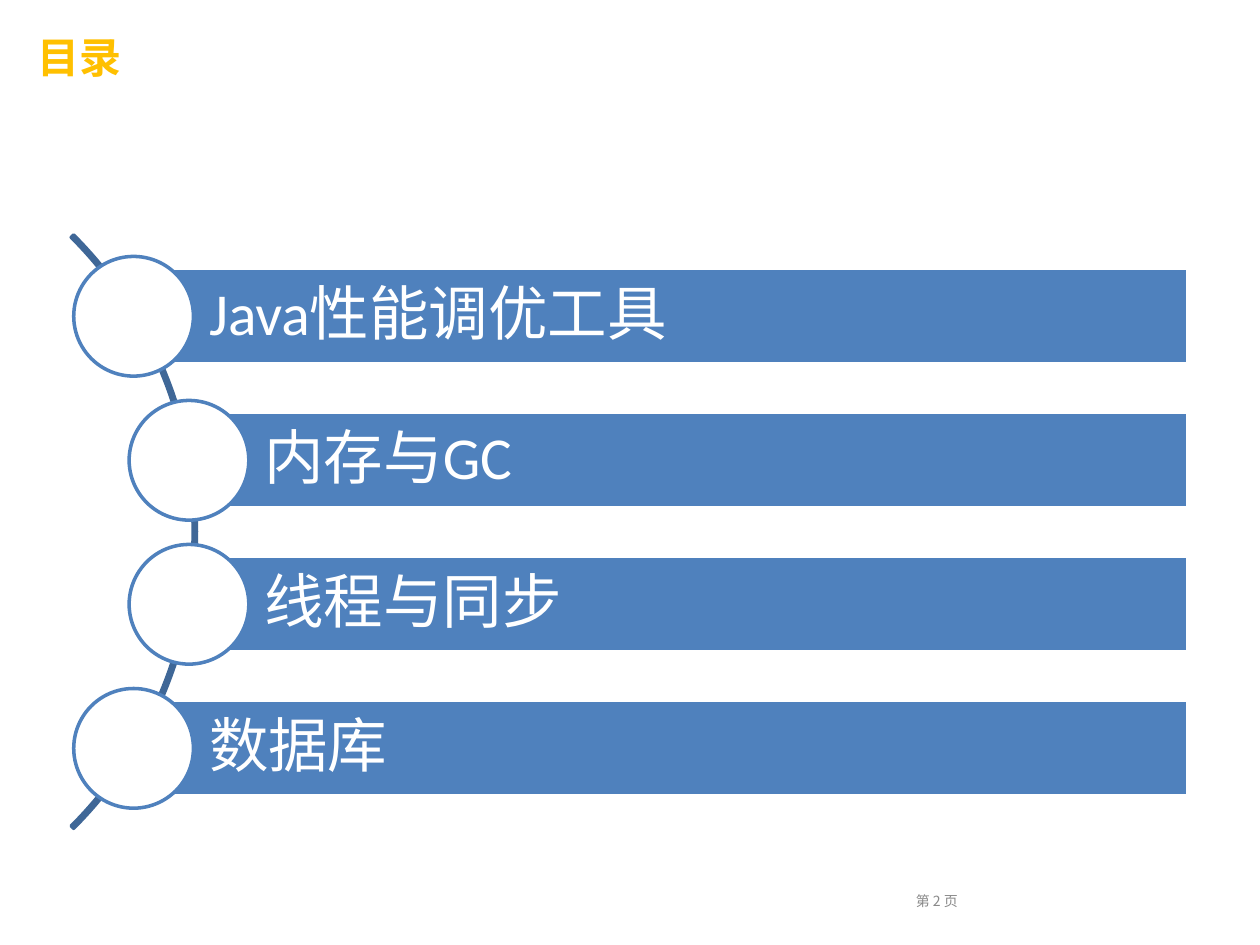
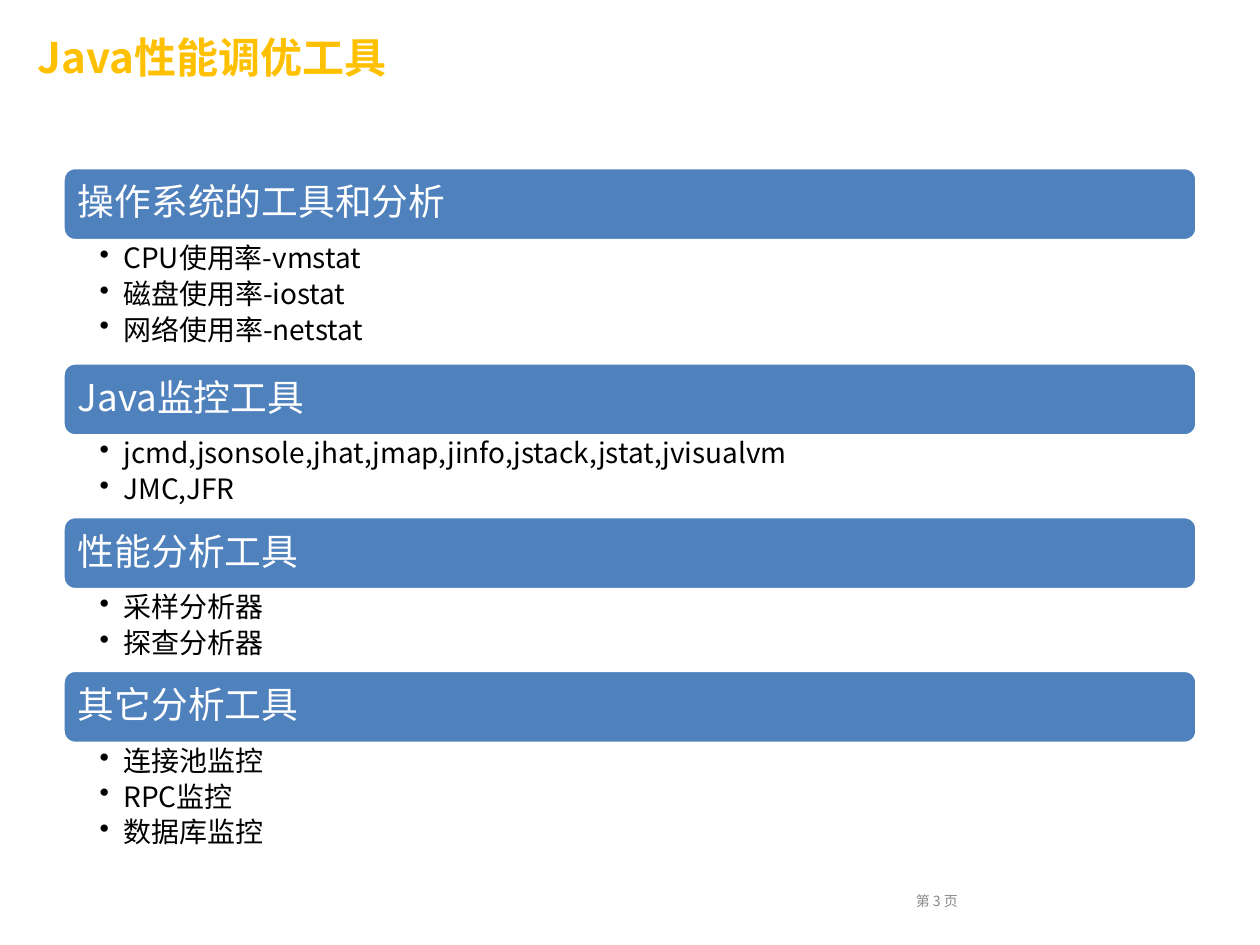
"""Build the contents slide and the Java tuning tools slide."""
from dataclasses import dataclass

import pptx
import pptx.dml.color
import pptx.enum.shapes
import pptx.enum.text
import pptx.oxml.ns
import pptx.util
from lxml import etree

Inches = pptx.util.Inches
MSO_SHAPE = pptx.enum.shapes.MSO_SHAPE
ANCHOR = pptx.enum.text.MSO_ANCHOR
qn = pptx.oxml.ns.qn


@dataclass(frozen=True)
class Theme:
    """Colours, fonts and type sizes of the deck."""
    blue: str = "4F81BD"
    arc: str = "3F6797"
    gold: str = "FFC000"
    grey: str = "898989"
    white: str = "FFFFFF"
    black: str = "000000"
    cjk: str = "Noto Sans CJK SC"
    latin: str = "Calibri"
    title: int = 24
    chapter: int = 34
    heading: int = 21
    bullet: int = 16
    footer: int = 8
    outline: int = 2


THEME = Theme()
CHAPTERS = ["Java性能调优工具", "内存与GC", "线程与同步", "数据库"]
TOOL_GROUPS = [
    ("操作系统的工具和分析",
     ["CPU使用率-vmstat", "磁盘使用率-iostat", "网络使用率-netstat"]),
    ("Java监控工具",
     ["jcmd,jsonsole,jhat,jmap,jinfo,jstack,jstat,jvisualvm", "JMC,JFR"]),
    ("性能分析工具", ["采样分析器", "探查分析器"]),
    ("其它分析工具", ["连接池监控", "RPC监控", "数据库监控"]),
]


def rgb(color):
    """Turn a hex string into a colour."""
    return pptx.dml.color.RGBColor.from_string(color)


def set_frame(tf, insets=(0.1, 0.05, 0.1, 0.05), anchor=ANCHOR.TOP):
    """Set wrapping, insets and anchor of a text frame."""
    tf.word_wrap = True
    tf.auto_size = pptx.enum.text.MSO_AUTO_SIZE.NONE
    tf.vertical_anchor = anchor
    (tf.margin_left, tf.margin_top,
     tf.margin_right, tf.margin_bottom) = map(Inches, insets)


def write(p, text, size, color, face=THEME.cjk, bold=False, spacing=1.0):
    """Fill a left-aligned paragraph and set its font."""
    p.text = text
    p.alignment = pptx.enum.text.PP_ALIGN.LEFT
    p.line_spacing = spacing
    p.font.size = pptx.util.Pt(size)
    p.font.bold = bold
    p.font.color.rgb = rgb(color)
    p.font.name = face
    font = p._p.pPr.find(qn("a:defRPr"))
    etree.SubElement(font, qn("a:ea"), typeface=THEME.cjk)


def add_bullet(p, indent):
    """Give a paragraph a round bullet with a hanging indent."""
    pPr = p._p.get_or_add_pPr()
    pPr.set("marL", str(Inches(indent)))
    pPr.set("indent", str(-Inches(indent)))
    bullet = etree.Element(qn("a:buChar"), char="•")
    pPr.find(qn("a:defRPr")).addprevious(bullet)


def add_text_box(s, box, insets, anchor):
    """Add a text box and return its text frame."""
    tf = s.shapes.add_textbox(*map(Inches, box)).text_frame
    set_frame(tf, insets, anchor)
    return tf


def add_outlined(s, kind, box, fill, line):
    """Add a preset shape with a fill, if any, and an outline."""
    sp = s.shapes.add_shape(kind, *map(Inches, box))
    sp.shadow.inherit = False
    if fill:
        sp.fill.solid()
        sp.fill.fore_color.rgb = rgb(fill)
    else:
        sp.fill.background()
    sp.line.color.rgb = rgb(line)
    sp.line.width = pptx.util.Pt(THEME.outline)
    return sp


def add_bar(s, kind, box, text, size, face, insets):
    """Add a blue bar with a white label."""
    sp = add_outlined(s, kind, box, THEME.blue, THEME.white)
    set_frame(sp.text_frame, insets, ANCHOR.MIDDLE)
    write(sp.text_frame.paragraphs[0], text, size, THEME.white, face,
          spacing=0.9)


def add_slide(prs, title, page):
    """Add a slide with its gold title and page footer."""
    s = prs.slides.add_slide(prs.slide_layouts[5])
    sp = s.shapes.title
    sp.left, sp.top, sp.width, sp.height = map(Inches, (0.2, 0.2, 7.24, 0.54))
    set_frame(sp.text_frame)
    write(sp.text_frame.paragraphs[0], title, THEME.title, THEME.gold,
          bold=True)
    tf = add_text_box(s, (7.17, 6.95, 2.33, 0.4), (0.1, 0.05, 0.1, 0.05),
                      ANCHOR.MIDDLE)
    write(tf.paragraphs[0], f"第 {page} 页", THEME.footer, THEME.grey)
    return s


def add_chapters(s):
    """Draw the arc with one circle and bar per chapter."""
    arc = add_outlined(s, MSO_SHAPE.BLOCK_ARC, (-5.1, 0.89, 6.66, 6.66),
                       None, THEME.arc)
    for i, value in enumerate((189, 27, 0.004)):
        arc.adjustments[i] = value
    right, height, circle = 9.43, 0.76, 0.95
    for i, chapter in enumerate(CHAPTERS):
        left = 1.06 if i in (0, len(CHAPTERS) - 1) else 1.5
        top = 2.13 + i * 1.143
        add_bar(s, MSO_SHAPE.RECTANGLE, (left, top, right - left, height),
                chapter, THEME.chapter, THEME.latin, (0.6, 0.09, 0.09, 0.09))
        add_outlined(s, MSO_SHAPE.OVAL,
                     (left - circle / 2, top + (height - circle) / 2,
                      circle, circle), THEME.white, THEME.blue)


def add_tool_groups(s):
    """Stack the heading bars and their bullet lists."""
    left, top, width, bar = 0.5, 1.33, 9, 0.58
    for heading, tools in TOOL_GROUPS:
        add_bar(s, MSO_SHAPE.ROUNDED_RECTANGLE, (left, top, width, bar),
                heading, THEME.heading, THEME.cjk, (0.09, 0.09, 0.09, 0.09))
        top += bar
        height = 0.33 * len(tools) - 0.02
        tf = add_text_box(s, (left, top, width, height),
                          (0.29, 0.03, 0.16, 0.03), ANCHOR.TOP)
        for i, tool in enumerate(tools):
            p = tf.add_paragraph() if i else tf.paragraphs[0]
            write(p, tool, THEME.bullet, THEME.black, spacing=0.9)
            p.space_after = pptx.util.Pt(0.2 * THEME.bullet)
            add_bullet(p, 0.19)
        top += height


def main():
    """Build and save the deck."""
    prs = pptx.Presentation()
    prs.slide_width, prs.slide_height = Inches(10), Inches(7.5)
    add_chapters(add_slide(prs, "目录", 2))
    add_tool_groups(add_slide(prs, CHAPTERS[0], 3))
    prs.save("out.pptx")


if __name__ == "__main__":
    main()
